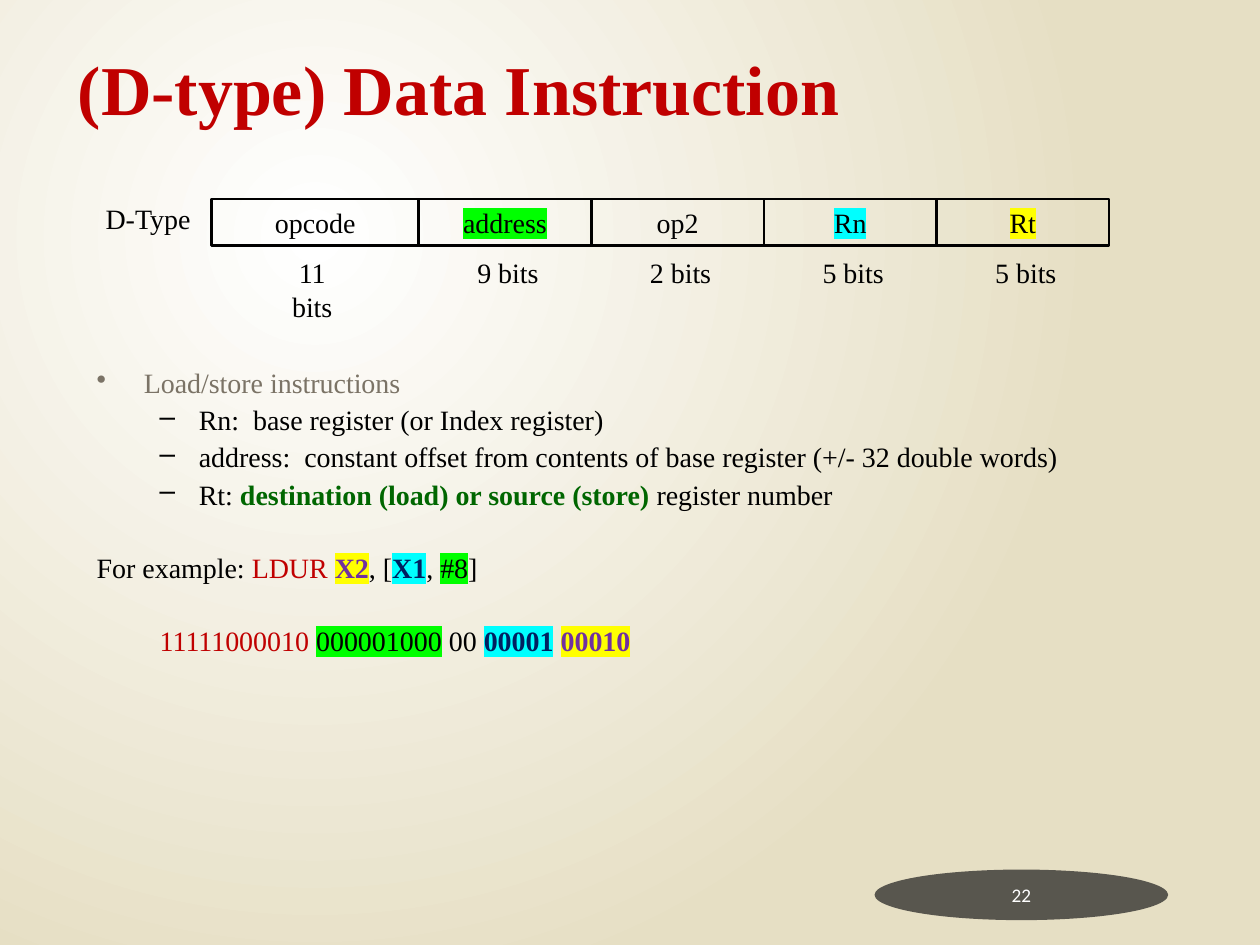
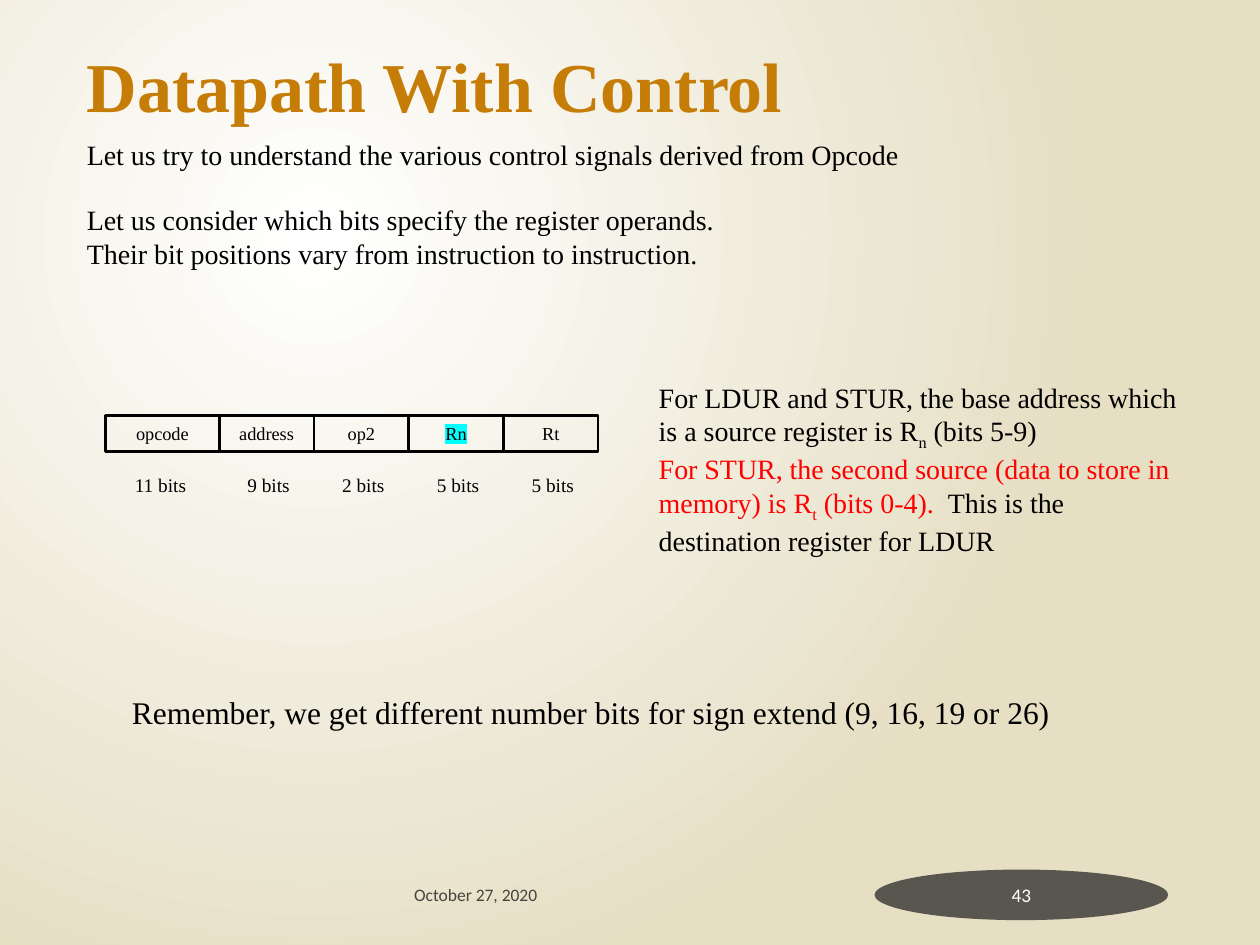
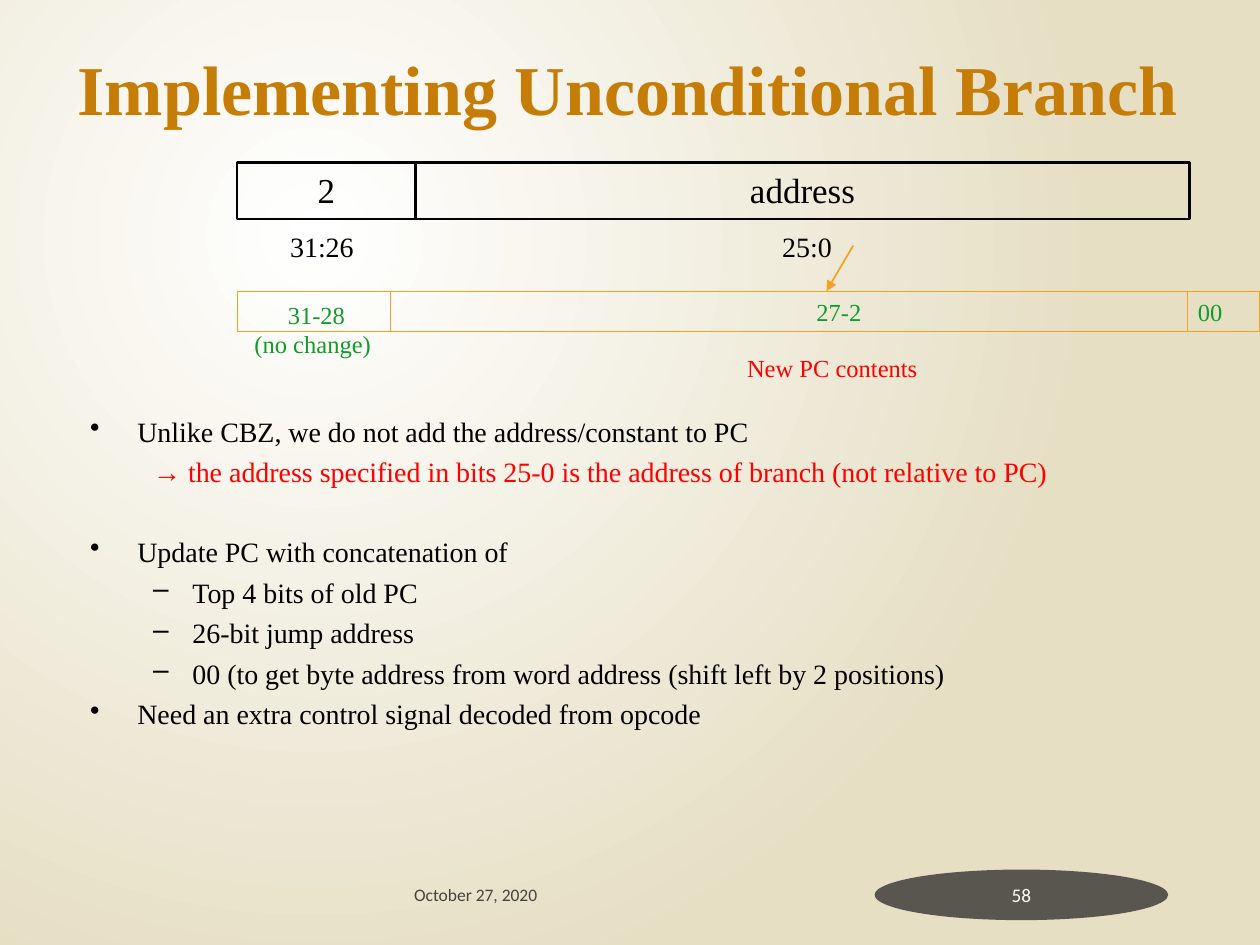
from dataclasses import dataclass
from typing import Any, NamedTuple

from pptx import Presentation
from pptx.dml.color import RGBColor as Rgb
from pptx.enum.shapes import MSO_CONNECTOR as Link, MSO_SHAPE as Kind
from pptx.enum.text import MSO_ANCHOR as Anchor, PP_ALIGN as Align
from pptx.oxml.ns import qn
from pptx.oxml.xmlchemy import OxmlElement as Node
from pptx.util import Cm, Pt

COLORS = {
    "black": "000000", "white": "FFFFFF", "sand": "E6DFC4", "coal": "1D1D1D",
    "gold": "C67D08", "orange": "F6A21D", "crimson": "C00000", "red": "FF0000",
    "taupe": "7B7366", "forest": "006600", "green": "139A29", "purple": "7030A0",
    "navy": "002060", "yellow": "FFFF00", "cyan": "00FFFF", "lime": "00FF00",
}
SERIF, SANS = "Times New Roman", "Calibri"
DATE = "October 27, 2020"
STEP = 4  # points between list lines


class Run(NamedTuple):
    text: str
    color: str = "black"
    bold: bool = False
    mark: str = ""
    sub: bool = False


@dataclass
class Para:
    runs: tuple[Run, ...]
    left: float = 0
    hang: float = 0
    bullet: str = ""
    space: float = 0
    align: Any = Align.LEFT


@dataclass
class Box:
    left: float
    top: float
    width: float
    height: float
    size: float
    paras: tuple[Para, ...]
    wrap: bool = True
    line: float = 1
    font: str = SERIF
    anchor: Any = Anchor.TOP


class Field(NamedTuple):
    name: str
    bits: str
    width: float
    mark: str = ""


@dataclass
class Bar:
    """A row of instruction fields with bit labels beneath."""
    left: float
    top: float
    height: float
    size: float
    fields: tuple[Field, ...]
    under: float
    small: float
    shift: float


def rgb(name: str) -> Rgb:
    return Rgb.from_string(COLORS[name])


def plain(text: str, color: str = "black", **rest: Any) -> Para:
    return Para((Run(text, color),), **rest)


def mid(text: str, color: str = "black") -> Para:
    return plain(text, color, align=Align.CENTER)


def point(*runs: Run, space: float = STEP) -> Para:
    return Para(runs, 0.95, 0.95, "•", space)


def dash(*runs: Run) -> Para:
    return Para(runs, 2.06, 0.79, "–", STEP)


def fade(node: Any) -> None:
    """Make the first colour in the node 70% opaque."""
    alpha = Node("a:alpha")
    alpha.set("val", "70000")
    node.find(".//" + qn("a:srgbClr")).append(alpha)


def add_run(para: Any, run: Run, size: float, font: str) -> None:
    part = para.add_run()
    part.text = run.text
    face = part.font
    face.size, face.name, face.bold = Pt(size), font, run.bold
    face.color.rgb = rgb(run.color)
    props = part._r.get_or_add_rPr()
    if run.sub:
        props.set("baseline", "-25000")
    if run.mark:
        light, tint = Node("a:highlight"), Node("a:srgbClr")
        tint.set("val", COLORS[run.mark])
        light.append(tint)
        props.find(qn("a:solidFill")).addnext(light)


def write(frame: Any, paras: tuple[Para, ...], size: float,
          font: str = SERIF, line: float = 1) -> None:
    for i, item in enumerate(paras):
        para = frame.add_paragraph() if i else frame.paragraphs[0]
        para.alignment, para.line_spacing = item.align, line
        para.space_before = Pt(item.space)
        props = para._p.get_or_add_pPr()
        props.set("marL", str(Cm(item.left)))
        props.set("indent", str(-Cm(item.hang)))
        if item.bullet:
            sign = Node("a:buChar")
            sign.set("char", item.bullet)
            props.append(sign)
        for run in item.runs:
            add_run(para, run, size, font)


def add_box(slide: Any, box: Box) -> Any:
    shape = slide.shapes.add_textbox(
        Cm(box.left), Cm(box.top), Cm(box.width), Cm(box.height))
    frame = shape.text_frame
    frame.word_wrap, frame.vertical_anchor = box.wrap, box.anchor
    write(frame, box.paras, box.size, box.font, box.line)
    return shape


def add_rect(slide: Any, left: float, top: float, width: float, height: float,
             color: str, weight: float) -> Any:
    rect = slide.shapes.add_shape(
        Kind.RECTANGLE, Cm(left), Cm(top), Cm(width), Cm(height))
    rect.shadow.inherit = False
    rect.fill.background()
    rect.line.color.rgb, rect.line.width = rgb(color), Pt(weight)
    return rect


def add_bar(slide: Any, bar: Bar) -> None:
    left, wide = bar.left, 1.8
    for i, field in enumerate(bar.fields):
        rect = add_rect(slide, left, bar.top, field.width, bar.height, "black", 1.5)
        rect.text_frame.vertical_anchor = Anchor.TOP
        name = Para((Run(field.name, mark=field.mark),), align=Align.CENTER)
        write(rect.text_frame, (name,), bar.size)
        nudge = bar.shift if i else -bar.shift
        add_box(slide, Box(left + (field.width - wide) / 2 + nudge, bar.under,
                           wide, 0.94, bar.small, (mid(field.bits),), wrap=False))
        left += field.width


def add_arrow(slide: Any, x1: float, y1: float, x2: float, y2: float) -> None:
    arrow = slide.shapes.add_connector(
        Link.STRAIGHT, Cm(x1), Cm(y1), Cm(x2), Cm(y2))
    arrow.line.color.rgb, arrow.line.width = rgb("orange"), Pt(1)
    tip = Node("a:tailEnd")
    tip.set("type", "triangle")
    arrow.line._get_or_add_ln().append(tip)
    arrow._element.spPr.append(Node("a:effectLst"))


def paint(master: Any) -> None:
    """Give the master its round white-to-sand backdrop."""
    fill = master.background.fill
    fill.gradient()
    for stop, name in zip(fill.gradient_stops, ("white", "sand")):
        stop.color.rgb = rgb(name)
    grad = master.element.find(".//" + qn("a:gradFill"))
    grad.remove(grad.find(qn("a:lin")))
    ring, rect = Node("a:path"), Node("a:fillToRect")
    ring.set("path", "circle")
    for side, share in zip("ltrb", (50, 50, 100, 100)):
        rect.set(side, str(share * 1000))
    ring.append(rect)
    grad.find(qn("a:gsLst")).addnext(ring)


def start(deck: Any, title: str, page: int, color: str = "gold", date: str = DATE,
          left: float = 1.32, top: float = 0.79) -> Any:
    """Add a slide with its title, date and page badge."""
    slide = deck.slides.add_slide(deck.slide_layouts[6])
    if date:
        note = add_box(slide, Box(8.1, 17.53, 8.05, 1.02, 10, (plain(date),),
                                  font=SANS, anchor=Anchor.MIDDLE))
        fade(note._element.txBody)
    badge = slide.shapes.add_shape(
        Kind.OVAL, Cm(17.63), Cm(17.53), Cm(5.92), Cm(1.02))
    badge.shadow.inherit = False
    badge.fill.solid()
    badge.fill.fore_color.rgb = rgb("coal")
    fade(badge._element.spPr)
    badge.line.fill.background()
    frame = badge.text_frame
    frame.margin_left = frame.margin_right = Cm(0.05)
    write(frame, (mid(str(page), "white"),), 11, SANS)
    head = Para((Run(title, color, True),))
    add_box(slide, Box(left, top, 22.94, 2.11, 40, (head,)))
    return slide


def draw_data(deck: Any) -> None:
    slide = start(deck, "(D-type) Data Instruction", 22, "crimson", date="")
    add_box(slide, Box(1.88, 3.94, 5.08, 0.94, 16, (plain("D-Type"),)))
    add_bar(slide, Bar(4.27, 4.01, 0.94, 16, (
        Field("opcode", "11 bits", 4.17),
        Field("address", "9 bits", 3.48, "lime"),
        Field("op2", "2 bits", 3.48),
        Field("Rn", "5 bits", 3.48, "cyan"),
        Field("Rt", "5 bits", 3.48, "yellow"),
    ), 5.03, 16, 0.06))
    gap = 24.5
    add_box(slide, Box(1.7, 7.32, 23.7, 5.94, 16, (
        point(Run("Load/store instructions", "taupe"), space=0),
        dash(Run("Rn:  base register (or Index register)")),
        dash(Run("address:  constant offset from contents of base register "
                 "(+/- 32 double words)")),
        dash(Run("Rt: "),
             Run("destination (load) or source (store) ", "forest", True),
             Run("register number")),
        Para((Run("For example: "), Run("LDUR ", "crimson"),
              Run("X2", "purple", True, "yellow"), Run(", ["),
              Run("X1", "navy", True, "cyan"), Run(", "),
              Run("#8", mark="lime"), Run("]")), space=gap),
        Para((Run("11111000010 ", "crimson"), Run("000001000", mark="lime"),
              Run(" 00 "), Run("00001", "navy", True, "cyan"), Run(" "),
              Run("00010", "purple", True, "yellow")), left=1.27, space=gap),
    ), line=0.9))


def draw_path(deck: Any) -> None:
    slide = start(deck, "Datapath With Control", 43, left=1.5, top=0.74)
    add_box(slide, Box(1.5, 2.64, 19, 3, 16, (
        plain("Let us try to understand the various control signals "
              "derived from Opcode"),
        plain("Let us consider which bits specify the register operands.", space=18.4),
        plain("Their bit positions vary from instruction to instruction."),
    )))
    add_bar(slide, Bar(2.13, 8.38, 0.72, 10.5, (
        Field("opcode", "11 bits", 2.29),
        Field("address", "9 bits", 1.91),
        Field("op2", "2 bits", 1.91),
        Field("Rn", "5 bits", 1.91, "cyan"),
        Field("Rt", "5 bits", 1.91),
    ), 9.42, 11, 0.04))
    add_box(slide, Box(13.03, 7.54, 11.02, 3.68, 16, (
        Para((Run("For LDUR and STUR, the base address which is a source "
                  "register is R"),
              Run("n", sub=True), Run(" (bits 5-9)"))),
        Para((Run("For STUR, the second source (data to store in memory) is R", "red"),
              Run("t", "red", sub=True), Run(" (bits 0-4).  ", "red"),
              Run("This is the destination register for LDUR"))),
    )))
    add_box(slide, Box(2.41, 13.84, 20.6, 1.02, 18, (
        plain("Remember, we get different number bits for sign extend "
              "(9, 16, 19 or 26)"),)))


def draw_branch(deck: Any) -> None:
    slide = start(deck, "Implementing Unconditional Branch", 58)
    add_box(slide, Box(1.57, 8.23, 22.99, 6.68, 16, (
        point(Run("Unlike CBZ, we do not add the address/constant to PC"), space=0),
        plain("→ the address specified in bits 25-0 is the address of branch "
              "(not relative to PC)", "red", left=1.27, space=STEP),
        point(Run("Update PC with concatenation of"), space=26.3),
        dash(Run("Top 4 bits of old PC")),
        dash(Run("26-bit jump address")),
        dash(Run("00 (to get byte address from word address "
                 "(shift left by 2 positions)")),
        point(Run("Need an extra control signal decoded from opcode")),
    )))
    add_bar(slide, Bar(4.78, 3.28, 1.14, 20, (
        Field("2", "31:26", 3.6),
        Field("address", "25:0", 15.6),
    ), 4.5, 16, 0.09))
    left = 4.78
    for width in (3.1, 16.05, 1.47):
        add_rect(slide, left, 5.88, width, 0.8, "orange", 0.5)
        left += width
    notes = (
        Box(4.88, 5.92, 3, 1.45, 14,
            (mid("31-28", "green"), plain("(no change)", "green"))),
        Box(16.21, 5.87, 1.42, 0.86, 14, (plain("27-2", "green"),), wrap=False),
        Box(23.9, 5.87, 1.02, 0.86, 14, (plain("00", "green"),), wrap=False),
        Box(14.81, 6.99, 6.76, 0.86, 14, (plain("New PC contents", "red"),)),
    )
    for note in notes:
        add_box(slide, note)
    add_arrow(slide, 17.2, 4.95, 16.66, 5.87)


def main() -> None:
    deck = Presentation()
    deck.slide_width, deck.slide_height = Cm(25.4), Cm(19.05)
    paint(deck.slide_master)
    for draw in (draw_data, draw_path, draw_branch):
        draw(deck)
    deck.save("out.pptx")


if __name__ == "__main__":
    main()
